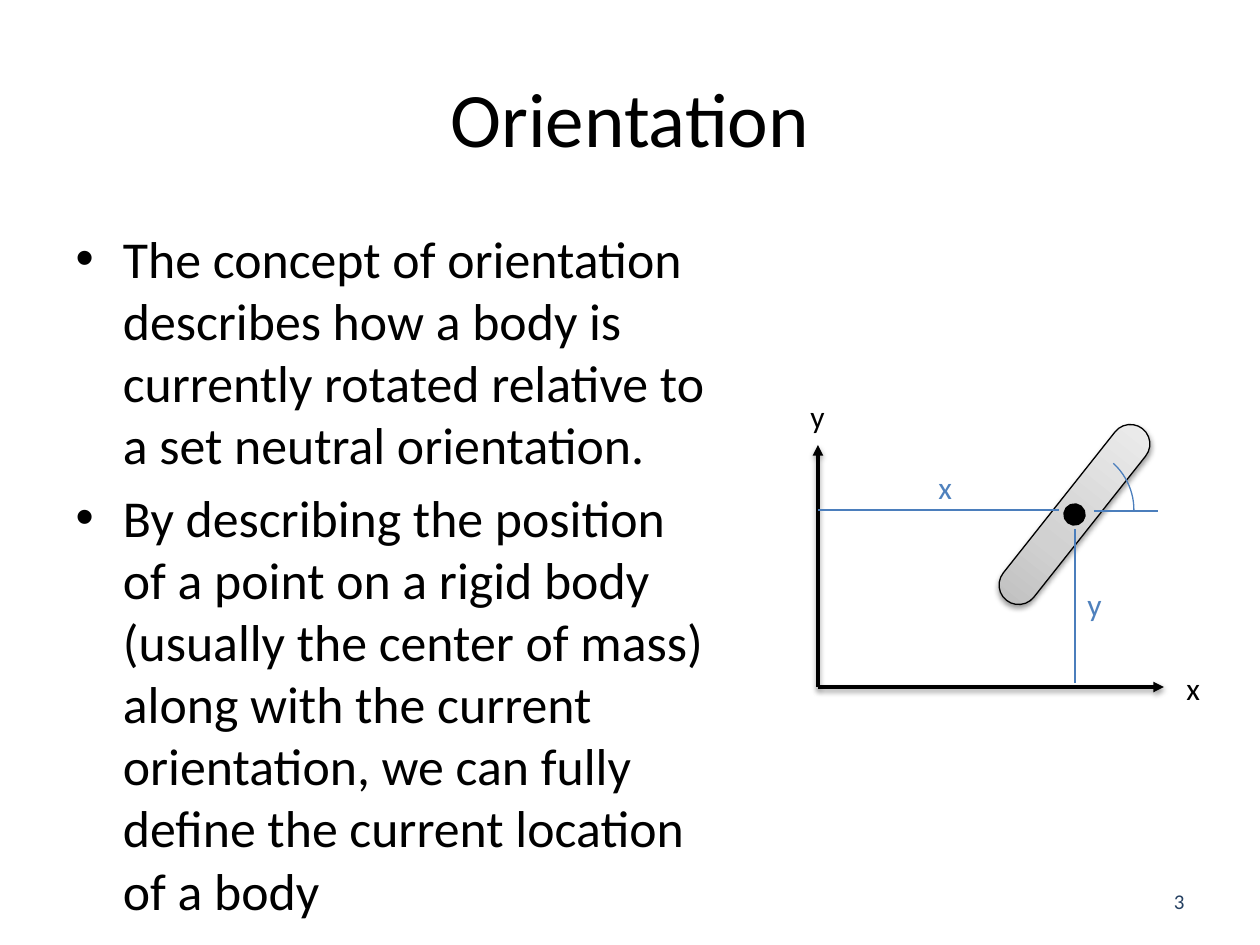
"""Build the Orientation slide: two bullets beside a rotated rod in x-y axes."""
from copy import deepcopy

from lxml import etree
from pptx import Presentation
from pptx.dml.color import RGBColor
from pptx.enum.shapes import MSO_CONNECTOR, MSO_SHAPE
from pptx.enum.text import MSO_ANCHOR, MSO_AUTO_SIZE, PP_ALIGN
from pptx.oxml.ns import qn
from pptx.util import Pt

LINE = MSO_CONNECTOR.STRAIGHT
ROD, DOT, ARC = MSO_SHAPE.ROUNDED_RECTANGLE, MSO_SHAPE.OVAL, MSO_SHAPE.ARC
MID, FIXED = MSO_ANCHOR.MIDDLE, MSO_AUTO_SIZE.NONE
LEFT, CENTER, RIGHT = PP_ALIGN.LEFT, PP_ALIGN.CENTER, PP_ALIGN.RIGHT
PX = 914400 / 126
FONT = "Calibri"
HEX = {"ink": "000000", "blue": "4F81BD", "rule": "4B7EBC", "navy": "254061"}

TITLE = "Orientation"
POINTS = [
    "The concept of orientation describes how a body is currently rotated "
    "relative to a set neutral orientation.",
    "By describing the position of a point on a rigid body (usually the center "
    "of mass) along with the current orientation, we can fully define the "
    "current location of a body",
]
LABELS = [
    ("y", 798, 391, "ink"),
    ("x", 1174, 663, "ink"),
    ("x", 926, 462, "blue"),
    ("y", 1075, 579, "blue"),
]
AXES = [(818, 687, 818, 445), (818, 687, 1164, 687)]
RULES = [(818, 510, 1059, 510), (1075, 683, 1075, 529), (1094, 511, 1158, 511)]
SHADES = [(0, "BDBDBD"), (0.35, "D1D1D1"), (1, "EEEEEE")]
TILT = 38.4


def emu(*nums):
    return [round(n * PX) for n in nums]


def rgb(name):
    return RGBColor.from_string(HEX[name])


def place(shape, *box):
    shape.left, shape.top, shape.width, shape.height = emu(*box)


def style(para, size, color="ink", align=LEFT):
    para.alignment = align
    para.font.name, para.font.size = FONT, Pt(size)
    para.font.color.rgb = rgb(color)


def stroke(shape, color, width, shade=False):
    shape.line.color.rgb, shape.line.width = rgb(color), Pt(width)
    fx = etree.SubElement(shape._element.spPr, qn("a:effectLst"))
    if shade:
        drop = etree.SubElement(fx, qn("a:outerShdw"), blurRad="40000",
                                dist="20000", dir="5400000", rotWithShape="0")
        tone = etree.SubElement(drop, qn("a:srgbClr"), val=HEX["ink"])
        etree.SubElement(tone, qn("a:alpha"), val="38000")


def link(slide, ends, color, width, axis=False):
    line = slide.shapes.add_connector(LINE, *emu(*ends))
    stroke(line, color, width, axis)
    if axis:
        stem = line._element.spPr.find(qn("a:ln"))
        etree.SubElement(stem, qn("a:tailEnd"), type="triangle")


def label(slide, text, box, size, color, align=LEFT, wrap=False):
    area = slide.shapes.add_textbox(*emu(*box))
    frame = area.text_frame
    frame.text, frame.word_wrap = text, wrap
    style(frame.paragraphs[0], size, color, align)
    return frame


def shade(shape):
    fill = shape.fill
    fill.gradient()
    fill.gradient_angle = 90
    stops = shape._element.spPr.find(".//" + qn("a:gsLst"))
    stops.append(deepcopy(stops[0]))
    for stop, (pos, tone) in zip(fill.gradient_stops, SHADES):
        stop.position, stop.color.rgb = pos, RGBColor.from_string(tone)


def write(slide):
    title, body = slide.placeholders
    place(title, 63, 38, 1134, 158)
    title.text_frame.text = TITLE
    title.text_frame.vertical_anchor = MID
    style(title.text_frame.paragraphs[0], 44, align=CENTER)
    place(body, 63, 220, 662, 655)
    frame = body.text_frame
    frame.text, frame.auto_size = "\n".join(POINTS), FIXED
    for para in frame.paragraphs:
        style(para, 29.6)
    frame.paragraphs[0].space_before = Pt(0)
    num = label(slide, "3", (903, 876, 294, 50), 12, "navy", RIGHT, True)
    num.vertical_anchor = MID


def draw(slide):
    add = slide.shapes.add_shape
    rod = add(ROD, *emu(1055, 405, 39, 219))
    rod.adjustments[0], rod.rotation = 0.5, TILT
    shade(rod)
    stroke(rod, "ink", 0.75, True)
    dot = add(DOT, *emu(1065, 505, 19, 19))
    dot.rotation = TILT
    dot.fill.solid()
    dot.fill.fore_color.rgb = rgb("ink")
    stroke(dot, "ink", 2)
    for ends in AXES:
        link(slide, ends, "ink", 2, True)
    for ends in RULES:
        link(slide, ends, "rule", 0.75)
    for text, left, top, color in LABELS:
        label(slide, text, (left, top, 40, 50), 18, color)
    arc = add(ARC, *emu(1008, 447, 126, 126))
    arc.adjustments[0], arc.adjustments[1] = 187.41, 0
    arc.fill.background()
    stroke(arc, "rule", 0.75)


def main():
    deck = Presentation()
    deck.slide_width, deck.slide_height = emu(1260, 945)
    slide = deck.slides.add_slide(deck.slide_layouts[1])
    write(slide)
    draw(slide)
    deck.save("out.pptx")


if __name__ == "__main__":
    main()
